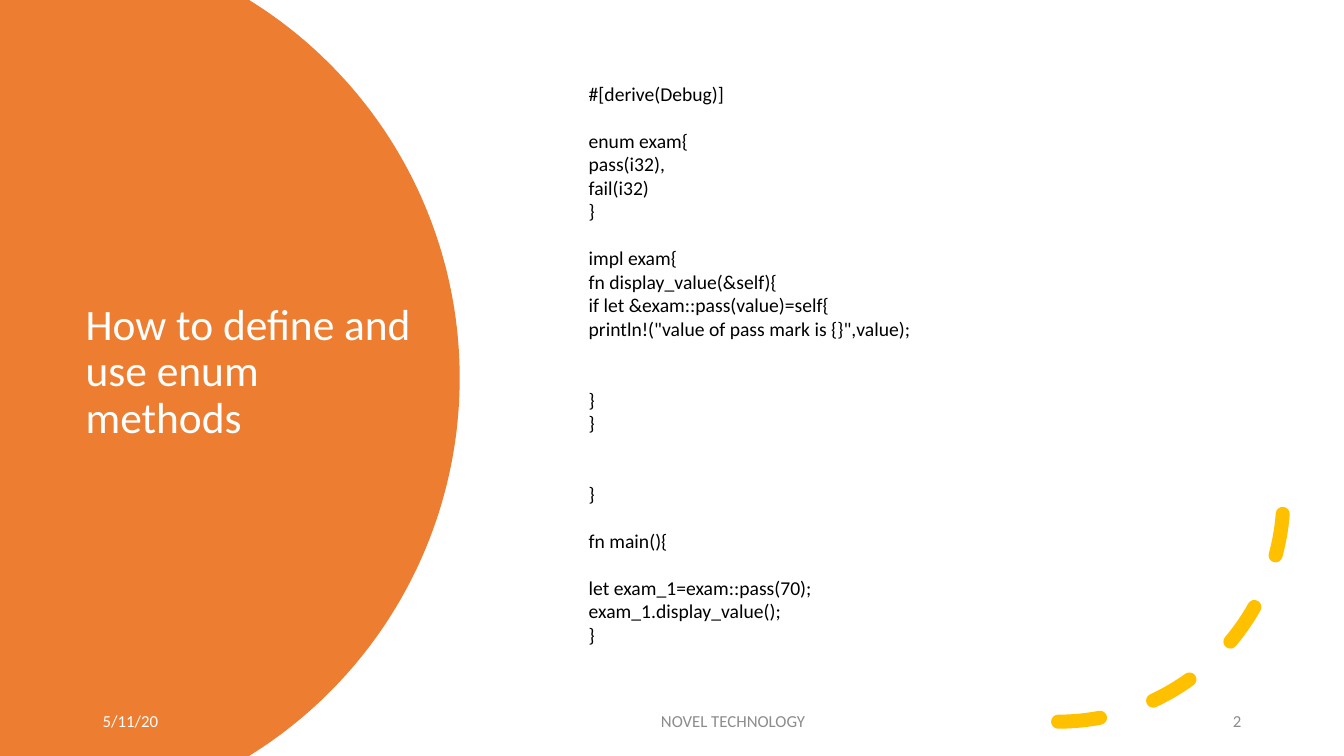
import math

from pptx import Presentation
from pptx import util as u
from pptx.dml import color
from pptx.enum import dml, shapes, text

COLOURS = {
    "panel": "ED7D31",
    "arc": "FFC000",
    "light": "FFFFFF",
    "muted": "8C8C8C",
    "code": "000000",
}
FONT = "Calibri"
SLIDE_WIDTH, SLIDE_HEIGHT = 13.33, 7.5
CODE_LINE_POINTS = 16.8
CODE = """#[derive(Debug)]

enum exam{
pass(i32),
fail(i32)
}

impl exam{
fn display_value(&self){
if let &exam::pass(value)=self{
println!("value of pass mark is {}",value);


}
}


}

fn main(){

let exam_1=exam::pass(70);
exam_1.display_value();
}"""


def rgb(name):
    """Return the named palette colour."""
    return color.RGBColor.from_string(COLOURS[name])


def style(paragraph, size, colour):
    """Format every run of a paragraph."""
    for run in paragraph.runs:
        run.font.name = FONT
        run.font.size = u.Pt(size)
        run.font.color.rgb = rgb(colour)


def add_panel(slide, right, height, radius):
    """Draw the panel whose right side is a circular arc cut by the slide edges."""
    centre_x, centre_y = right - radius, height / 2
    half_angle = math.asin(centre_y / radius)
    steps = 120
    points = [(0, 0)]
    for step in range(steps + 1):
        angle = half_angle * (2 * step / steps - 1)
        points.append((centre_x + radius * math.cos(angle),
                       centre_y + radius * math.sin(angle)))
    points.append((0, height))
    outline = [(u.Inches(x), u.Inches(y)) for x, y in points]
    builder = slide.shapes.build_freeform(*outline[0], scale=1.0)
    builder.add_line_segments(outline[1:], close=True)
    panel = builder.convert_to_shape()
    panel.shadow.inherit = False
    panel.fill.solid()
    panel.fill.fore_color.rgb = rgb("panel")
    panel.line.fill.background()


def add_title(slide, left, top, width, height):
    """Place the title over the panel."""
    title = slide.shapes.title
    title.left, title.top = u.Inches(left), u.Inches(top)
    title.width, title.height = u.Inches(width), u.Inches(height)
    frame = title.text_frame
    frame.text = "How to define and use enum methods"
    frame.word_wrap = True
    frame.auto_size = text.MSO_AUTO_SIZE.NONE
    frame.vertical_anchor = text.MSO_ANCHOR.MIDDLE
    paragraph = frame.paragraphs[0]
    paragraph.alignment = text.PP_ALIGN.LEFT
    paragraph.line_spacing = 0.9
    style(paragraph, 31, "light")


def add_dashed_arc(slide, left, top, size):
    """Draw the dashed quarter circle in the lower right corner."""
    arc = slide.shapes.add_shape(shapes.MSO_SHAPE.ARC, u.Inches(left),
                                 u.Inches(top), u.Inches(size), u.Inches(size))
    arc.shadow.inherit = False
    arc.fill.background()
    arc.line.color.rgb = rgb("arc")
    arc.line.width = u.Pt(10)
    arc.line.dash_style = dml.MSO_LINE.DASH
    arc.line._get_or_add_ln().set("cap", "rnd")
    arc._element.spPr.xfrm.set("flipV", "1")


def add_footer(slide, top, height):
    """Place the date, footer text and slide number on one line."""
    entries = [
        ("5/11/20", 0.92, 1.79, text.PP_ALIGN.LEFT, "light"),
        ("NOVEL TECHNOLOGY ", 4.42, 5.74, text.PP_ALIGN.CENTER, "muted"),
        ("2", 10.43, 1.98, text.PP_ALIGN.RIGHT, "muted"),
    ]
    for words, left, width, alignment, colour in entries:
        box = slide.shapes.add_textbox(u.Inches(left), u.Inches(top),
                                       u.Inches(width), u.Inches(height))
        frame = box.text_frame
        frame.text = words
        frame.word_wrap = True
        frame.vertical_anchor = text.MSO_ANCHOR.MIDDLE
        paragraph = frame.paragraphs[0]
        paragraph.alignment = alignment
        paragraph.space_after = u.Pt(6)
        style(paragraph, 12, colour)


def add_code(slide, left, top, width, height):
    """Write the code, turning its empty lines into space before paragraphs."""
    box = slide.shapes.add_textbox(u.Inches(left), u.Inches(top),
                                   u.Inches(width), u.Inches(height))
    frame = box.text_frame
    frame.word_wrap = False
    paragraph = frame.paragraphs[0]
    empty_lines = 0
    for number, line in enumerate(CODE.splitlines()):
        if not line:
            empty_lines += 1
            continue
        if number:
            paragraph = frame.add_paragraph()
        paragraph.text = line
        if empty_lines:
            paragraph.space_before = u.Pt(empty_lines * CODE_LINE_POINTS)
        style(paragraph, 14, "code")
        empty_lines = 0


def main():
    """Build and save the presentation."""
    presentation = Presentation()
    presentation.slide_width = u.Inches(SLIDE_WIDTH)
    presentation.slide_height = u.Inches(SLIDE_HEIGHT)
    slide = presentation.slides.add_slide(presentation.slide_layouts[5])
    slide.background.fill.solid()
    slide.background.fill.fore_color.rgb = rgb("light")
    add_panel(slide, 4.56, SLIDE_HEIGHT, 4.41)
    title_element = slide.shapes.title._element
    title_element.getparent().append(title_element)
    add_title(slide, 0.75, 1.26, 3.5, 4.88)
    add_dashed_arc(slide, 8.26, 2.69, 4.47)
    add_footer(slide, 6.95, 0.4)
    add_code(slide, 5.74, 0.76, 3.42, 6.06)
    presentation.save("out.pptx")


if __name__ == "__main__":
    main()
